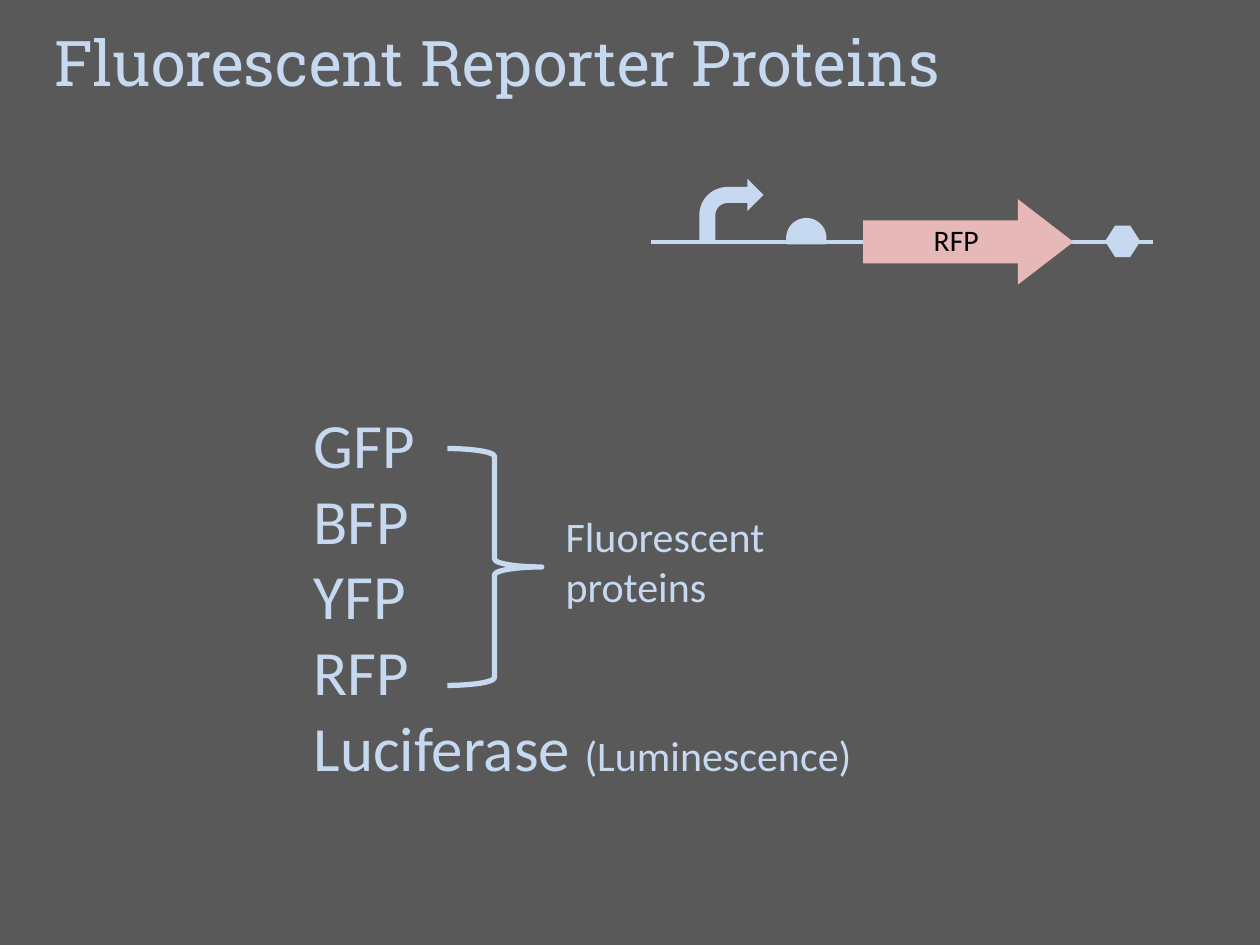
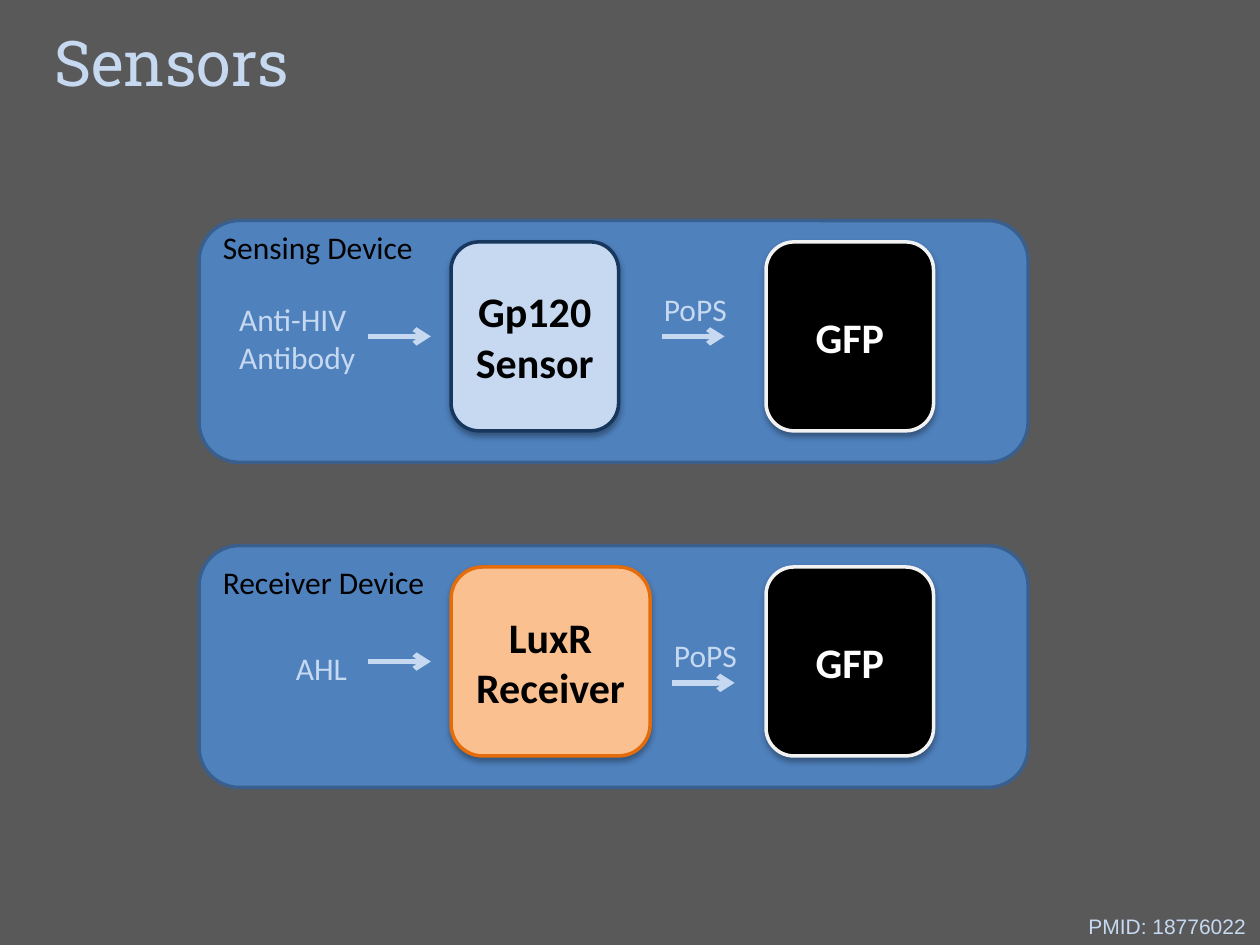
from dataclasses import dataclass
from math import asin, cos, pi, sin

from lxml import etree
from pptx import Presentation
from pptx.dml.color import RGBColor
from pptx.enum.shapes import MSO_CONNECTOR, MSO_SHAPE
from pptx.enum.text import MSO_ANCHOR, MSO_AUTO_SIZE, PP_ALIGN
from pptx.oxml.ns import qn
from pptx.util import Inches, Pt

STRAIGHT = MSO_CONNECTOR.STRAIGHT
ROUNDED = MSO_SHAPE.ROUNDED_RECTANGLE
TITLE_AND_CONTENT, TITLE_ONLY = 1, 5


@dataclass(frozen=True)
class Theme:
    background: str = "595959"
    pale: str = "C6D9F1"
    circuit: str = "C7D9F0"
    gene: str = "E6B9B8"
    dark: str = "000000"
    white: str = "FFFFFF"
    panel: str = "4F81BD"
    panel_edge: str = "3A5F8C"
    sensor_edge: str = "17375E"
    receiver: str = "FAC090"
    receiver_edge: str = "E46C0A"
    reporter_edge: str = "F2F2F2"
    title_font: str = "Roboto Slab"
    body_font: str = "Calibri"
    note_font: str = "Arial"
    large: int = 36
    medium: int = 24
    small: int = 18
    gene_size: int = 17
    note: int = 12


THEME = Theme()

# Block styles: fill, edge, text colour
SENSOR_STYLE = (THEME.pale, THEME.sensor_edge, THEME.dark)
RECEIVER_STYLE = (THEME.receiver, THEME.receiver_edge, THEME.dark)
REPORTER_STYLE = (THEME.dark, THEME.reporter_edge, THEME.white)

REPORTERS = [
    [("GFP", THEME.large)],
    [("BFP", THEME.large)],
    [("YFP", THEME.large)],
    [("RFP", THEME.large)],
    [("Luciferase ", THEME.large), ("(Luminescence)", THEME.medium)],
]

# Text boxes are (text, left, top, width, height); blocks are (text, width, style);
# signal is (left, top) of the PoPS label.
DEVICES = [
    {
        "top": 1.75,
        "block_top": 1.92,
        "name": ("Sensing Device", 1.67, 1.76, 1.73, 0.4),
        "input": ("Anti-HIV Antibody", 1.8, 2.33, 1.62, 0.7),
        "detector": ("Gp120 Sensor", 1.33, SENSOR_STYLE),
        "signal": (5.17, 2.25),
    },
    {
        "top": 4.33,
        "block_top": 4.5,
        "name": ("Receiver Device", 1.67, 4.42, 1.82, 0.4),
        "input": ("AHL", 2.25, 5.1, 0.75, 0.4),
        "detector": ("LuxR Receiver", 1.58, RECEIVER_STYLE),
        "signal": (5.25, 5.0),
    },
]
PANEL_LEFT, PANEL_WIDTH, PANEL_HEIGHT = 1.58, 6.58, 1.92
DETECTOR_LEFT, REPORTER_LEFT = 3.58, 6.08
REPORTER_WIDTH, BLOCK_HEIGHT = 1.33, 1.5
INPUT_ARROW_LEFT, ARROW_LENGTH = 2.92, 0.5
SIGNAL_ARROW_OFFSET = (0.08, 0.42)


def color(value):
    return RGBColor.from_string(value)


def inches(*values):
    return [Inches(value) for value in values]


def add_run(paragraph, text, size, shade=THEME.pale, font=THEME.body_font, bold=False):
    run = paragraph.add_run()
    run.text = text
    run.font.size = Pt(size)
    run.font.name = font
    run.font.bold = bold
    run.font.color.rgb = color(shade)


def add_text(shapes, text, left, top, width, height, size=THEME.small,
             shade=THEME.pale, font=THEME.body_font, wrap=True):
    box = shapes.add_textbox(*inches(left, top, width, height))
    box.text_frame.word_wrap = wrap
    add_run(box.text_frame.paragraphs[0], text, size, shade, font)
    return box


def paint(shape, fill=None, edge=None, edge_width=2):
    shape.shadow.inherit = False
    if fill:
        shape.fill.solid()
        shape.fill.fore_color.rgb = color(fill)
    else:
        shape.fill.background()
    if edge:
        shape.line.color.rgb = color(edge)
        shape.line.width = Pt(edge_width)
    else:
        shape.line.fill.background()


def add_shape(shapes, kind, left, top, width, height, **look):
    shape = shapes.add_shape(kind, *inches(left, top, width, height))
    paint(shape, **look)
    return shape


def add_line(shapes, left, y, length, shade=THEME.pale, width=3, arrow=True):
    line = shapes.add_connector(STRAIGHT, *inches(left, y, left + length, y))
    line.line.color.rgb = color(shade)
    line.line.width = Pt(width)
    properties = line._element.spPr
    if arrow:
        etree.SubElement(properties.find(qn("a:ln")), qn("a:tailEnd"), type="arrow")
    etree.SubElement(properties, qn("a:effectLst"))


def add_soft_shadow(shape):
    effects = shape._element.spPr.find(qn("a:effectLst"))
    shadow = etree.SubElement(effects, qn("a:outerShdw"), blurRad=str(Pt(3.5)),
                              dist=str(Pt(2.2)), dir="5400000", rotWithShape="0")
    shade = etree.SubElement(shadow, qn("a:srgbClr"), val=THEME.dark)
    etree.SubElement(shade, qn("a:alpha"), val="32000")


def place(placeholder, left, top, width, height):
    placeholder.left, placeholder.top, placeholder.width, placeholder.height = inches(
        left, top, width, height)
    frame = placeholder.text_frame
    frame.auto_size = MSO_AUTO_SIZE.NONE
    frame.vertical_anchor = MSO_ANCHOR.TOP
    return frame


def add_titled_slide(presentation, layout, title):
    slide = presentation.slides.add_slide(presentation.slide_layouts[layout])
    frame = place(slide.shapes.title, 0.33, 0.14, 9.42, 0.71)
    frame.paragraphs[0].alignment = PP_ALIGN.LEFT
    add_run(frame.paragraphs[0], title, THEME.large, font=THEME.title_font)
    return slide


def add_reporter_list(slide):
    frame = place(slide.placeholders[1], 2.39, 3.17, 6.33, 3.13)
    for index, runs in enumerate(REPORTERS):
        paragraph = frame.add_paragraph() if index else frame.paragraphs[0]
        properties = paragraph._p.get_or_add_pPr()
        properties.set("marL", "0")
        properties.set("indent", "0")
        etree.SubElement(properties, qn("a:buNone"))
        paragraph.space_before = Pt(0)
        for text, size in runs:
            add_run(paragraph, text, size)


def add_binding_site(shapes, center_x, center_y, radius, base_y):
    """Draw a circle cut off flat at base_y."""
    start = pi - asin((base_y - center_y) / radius)
    sweep = 3 * pi - 2 * start
    steps = 40
    points = []
    for step in range(steps + 1):
        angle = start + sweep * step / steps
        points.append(inches(center_x + radius * cos(angle),
                             center_y + radius * sin(angle)))
    builder = shapes.build_freeform(*points[0])
    builder.add_line_segments(points[1:], close=True)
    paint(builder.convert_to_shape(), THEME.circuit)


def add_gene_circuit(slide):
    shapes = slide.shapes.add_group_shape().shapes
    add_binding_site(shapes, 6.4, 1.89, 0.16, 1.94)
    add_line(shapes, 5.17, 1.92, 3.98, THEME.circuit, width=0, arrow=False)
    add_shape(shapes, MSO_SHAPE.BENT_ARROW, 5.55, 1.42, 0.51, 0.51, fill=THEME.pale)
    gene = add_shape(shapes, MSO_SHAPE.RIGHT_ARROW, 6.85, 1.58, 1.67, 0.68,
                     fill=THEME.gene)
    gene.adjustments[1] = 0.65
    label = add_text(shapes, "RFP", 7.41, 1.76, 0.48, 0.34, THEME.gene_size,
                     THEME.dark, wrap=False).text_frame
    label.margin_left = label.margin_right = label.margin_top = label.margin_bottom = 0
    terminator = add_shape(shapes, MSO_SHAPE.HEXAGON, 8.77, 1.79, 0.28, 0.25,
                           fill=THEME.circuit)
    terminator.adjustments[0] = 0.32


def add_block(shapes, text, left, top, width, style):
    fill, edge, shade = style
    block = add_shape(shapes, ROUNDED, left, top, width, BLOCK_HEIGHT,
                      fill=fill, edge=edge)
    add_soft_shadow(block)
    paragraph = block.text_frame.paragraphs[0]
    paragraph.alignment = PP_ALIGN.CENTER
    add_run(paragraph, text, THEME.medium, shade, bold=True)


def add_device(shapes, device):
    top = device["block_top"]
    add_shape(shapes, ROUNDED, PANEL_LEFT, device["top"], PANEL_WIDTH, PANEL_HEIGHT,
              fill=THEME.panel, edge=THEME.panel_edge)
    add_text(shapes, *device["name"], shade=THEME.dark, wrap=False)
    add_text(shapes, *device["input"])
    add_line(shapes, INPUT_ARROW_LEFT, top + BLOCK_HEIGHT / 2, ARROW_LENGTH)

    text, width, style = device["detector"]
    add_block(shapes, text, DETECTOR_LEFT, top, width, style)

    left, label_top = device["signal"]
    offset_x, offset_y = SIGNAL_ARROW_OFFSET
    add_text(shapes, "PoPS", left, label_top, 0.75, 0.4)
    add_line(shapes, left + offset_x, label_top + offset_y, ARROW_LENGTH)

    add_block(shapes, "GFP", REPORTER_LEFT, top, REPORTER_WIDTH, REPORTER_STYLE)


def build_reporter_slide(presentation):
    slide = add_titled_slide(presentation, TITLE_AND_CONTENT,
                             "Fluorescent Reporter Proteins")
    add_reporter_list(slide)
    add_shape(slide.shapes, MSO_SHAPE.RIGHT_BRACE, 3.55, 3.56, 0.75, 1.88,
              edge=THEME.pale, edge_width=3)
    add_text(slide.shapes, "Fluorescent proteins", 4.39, 4, 1.78, 0.91, THEME.medium)
    add_gene_circuit(slide)


def build_sensor_slide(presentation):
    slide = add_titled_slide(presentation, TITLE_ONLY, "Sensors")
    for device in DEVICES:
        add_device(slide.shapes, device)
    add_text(slide.shapes, "PMID: 18776022", 8.54, 7.2, 1.46, 0.3, THEME.note,
             font=THEME.note_font, wrap=False)


def main():
    presentation = Presentation()
    presentation.slide_width, presentation.slide_height = inches(10, 7.5)
    background = presentation.slide_master.background.fill
    background.solid()
    background.fore_color.rgb = color(THEME.background)
    build_reporter_slide(presentation)
    build_sensor_slide(presentation)
    presentation.save("out.pptx")


if __name__ == "__main__":
    main()
